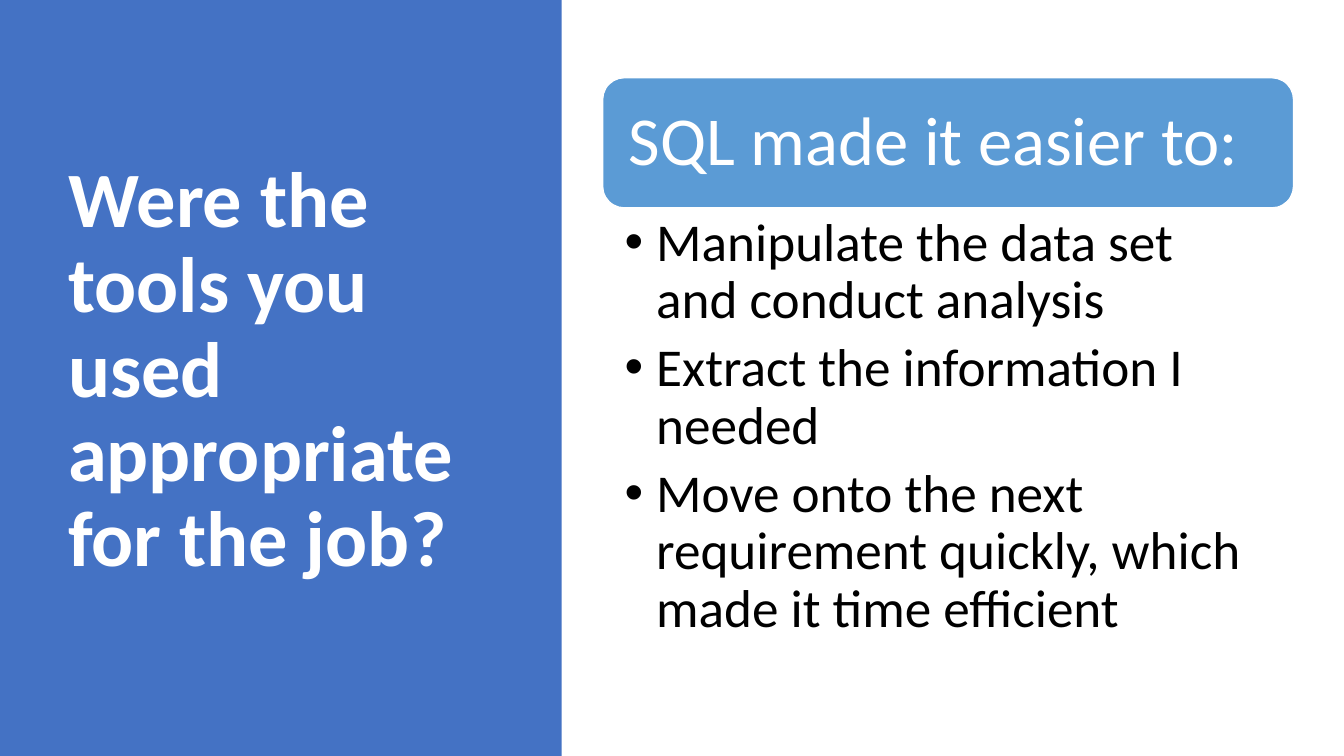
"""Build a slide on whether the chosen tools suited the job."""
from lxml import etree
from pptx import Presentation
from pptx.dml.color import RGBColor
from pptx.enum.shapes import MSO_SHAPE
from pptx.enum.text import MSO_ANCHOR, PP_ALIGN
from pptx.oxml.ns import qn
from pptx.util import Emu, Pt

RECTANGLE = MSO_SHAPE.RECTANGLE
ROUNDED = MSO_SHAPE.ROUNDED_RECTANGLE
TOP, MIDDLE = MSO_ANCHOR.TOP, MSO_ANCHOR.MIDDLE
LEFT = PP_ALIGN.LEFT

EMU_PER_PX = 9525
FONT = "Calibri"
WHITE, BLACK = "FFFFFF", "000000"
PANEL_BLUE, HEADER_BLUE = "4472C4", "5B9BD5"

TITLE = "Were the tools you used appropriate for the job?"
HEADER = "SQL made it easier to:"
BENEFITS = [
    "Manipulate the data set and conduct analysis",
    "Extract the information I needed",
    "Move onto the next requirement quickly, which made it time efficient",
]


def px(length):
    """Turn pixels into EMU."""
    return Emu(length * EMU_PER_PX)


def color(value):
    """Turn a hex string into a colour."""
    return RGBColor.from_string(value)


def add_block(page, preset, bounds, fill, line=None):
    """Add a filled preset shape without a shadow."""
    block = page.shapes.add_shape(preset, *map(px, bounds))
    block.shadow.inherit = False
    block.fill.solid()
    block.fill.fore_color.rgb = color(fill)
    if line:
        block.line.color.rgb = color(line)
        block.line.width = Pt(1)
    else:
        block.line.fill.background()
    return block


def add_bullet(para, indent):
    """Give a paragraph a hanging round bullet."""
    properties = para._p.get_or_add_pPr()
    properties.set("marL", str(px(indent)))
    properties.set("indent", str(px(-indent)))
    etree.SubElement(properties, qn("a:buFont")).set("typeface", "Arial")
    etree.SubElement(properties, qn("a:buChar")).set("char", "•")


def write_text(box, lines, *, size, fill, bold=False, anchor=MIDDLE,
               insets=(10, 5, 10, 5), space_after=0, bullet_indent=None):
    """Write formatted paragraphs into a shape or text box."""
    frame = box.text_frame
    frame.word_wrap = True
    frame.vertical_anchor = anchor
    (frame.margin_left, frame.margin_top,
     frame.margin_right, frame.margin_bottom) = map(px, insets)
    for index, line in enumerate(lines):
        para = frame.add_paragraph() if index else frame.paragraphs[0]
        para.alignment = LEFT
        para.line_spacing = 0.9
        para.space_after = Pt(space_after)
        if bullet_indent:
            add_bullet(para, bullet_indent)
        span = para.add_run()
        span.text = line
        span.font.name = FONT
        span.font.size = Pt(size)
        span.font.bold = bold
        span.font.color.rgb = color(fill)


def add_text(page, bounds, lines, **text_format):
    """Add a text box holding formatted paragraphs."""
    box = page.shapes.add_textbox(*map(px, bounds))
    write_text(box, lines, **text_format)


def main():
    """Build and save the slide."""
    deck = Presentation()
    deck.slide_width, deck.slide_height = px(1280), px(720)
    page = deck.slides.add_slide(deck.slide_layouts[6])

    add_block(page, RECTANGLE, (0, 0, 535, 720), PANEL_BLUE)
    add_text(page, (55, 65, 399, 578), [TITLE], size=56, fill=WHITE, bold=True)

    header = add_block(page, ROUNDED, (574, 74, 658, 124), HEADER_BLUE, WHITE)
    write_text(header, [HEADER], size=49, fill=WHITE, insets=(19, 19, 19, 19))
    add_text(page, (574, 198, 658, 437), BENEFITS, size=38, fill=BLACK,
             anchor=TOP, insets=(21, 7, 36, 7), space_after=7.6,
             bullet_indent=30)

    deck.save("out.pptx")


if __name__ == "__main__":
    main()
